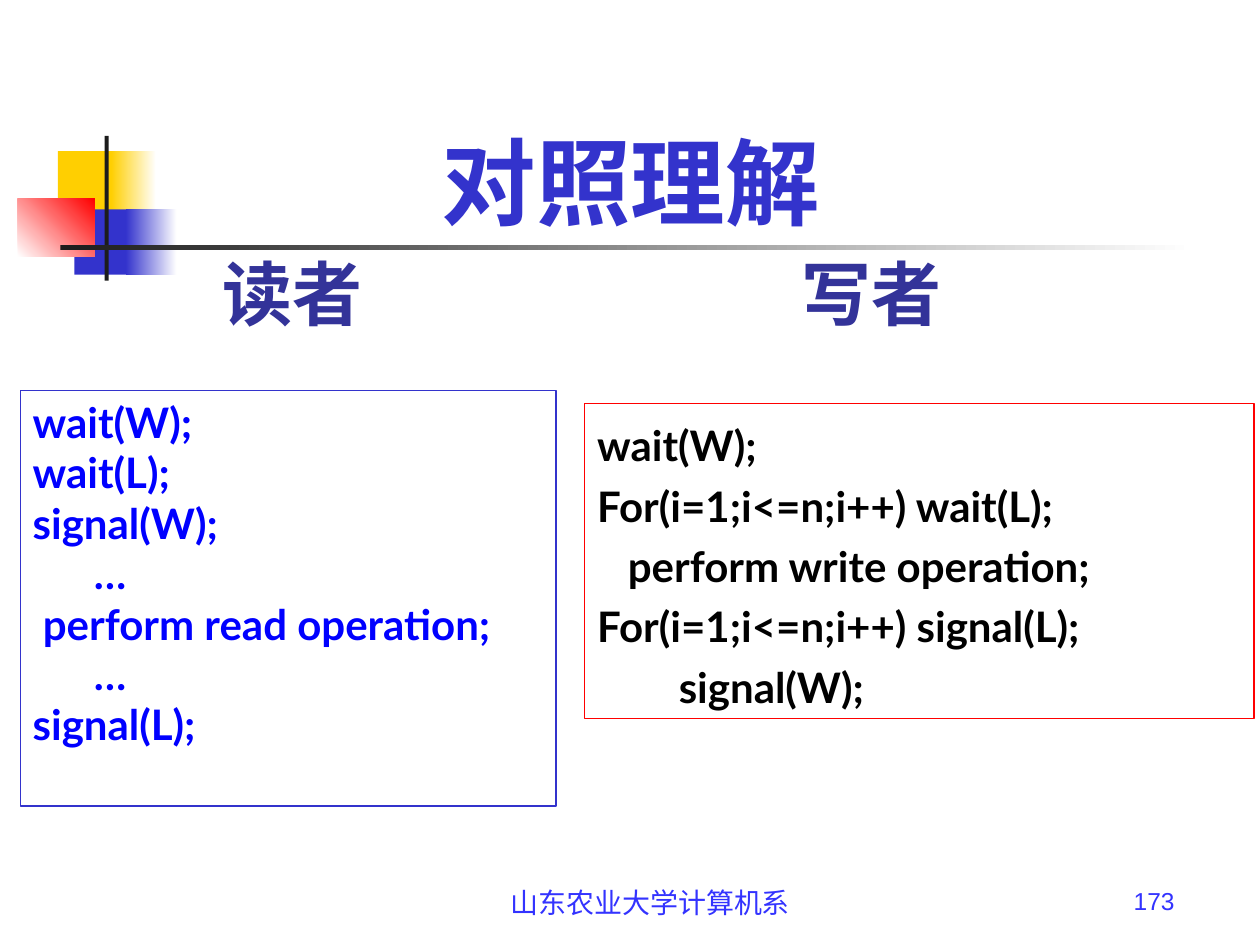
"""Build the slide comparing reader and writer code."""
from pptx import Presentation
from pptx.dml.color import RGBColor
from pptx.enum.shapes import MSO_SHAPE
from pptx.enum.text import MSO_ANCHOR, MSO_AUTO_SIZE, PP_ALIGN
from pptx.util import Cm, Pt


def color(value):
    return RGBColor.from_string(value)


def write(shape, lines, size, value, font="Lato", bold=True, align=PP_ALIGN.CENTER,
          anchor=MSO_ANCHOR.TOP, spacing=1.0):
    frame = shape.text_frame
    frame.word_wrap = True
    frame.auto_size = MSO_AUTO_SIZE.NONE
    frame.vertical_anchor = anchor
    frame.text = "\n".join(lines)
    for paragraph in frame.paragraphs:
        paragraph.alignment = align
        paragraph.line_spacing = spacing
        paragraph.font.name = font
        paragraph.font.size = Pt(size)
        paragraph.font.bold = bold
        paragraph.font.color.rgb = color(value)


presentation = Presentation()
presentation.slide_width = Cm(25.4)
presentation.slide_height = Cm(19.05)
slide = presentation.slides.add_slide(presentation.slide_layouts[5])

decorations = [
    (1.17, 3.05, 1.22, 1.32, ["FFCF01"], 0),
    (2.24, 3.05, 0.91, 1.32, ["FFCF01", "FFFFFF"], 0),
    (1.5, 4.22, 1.17, 1.32, ["3333CC"], 0),
    (2.54, 4.22, 1.02, 1.32, ["3333CC", "FFFFFF"], 0),
    (0.36, 4.01, 1.55, 1.17, ["FFFFFF", "FF0000"], 45),
    (2.11, 2.74, 0.08, 2.92, ["1C1C1C"], 0),
    (1.22, 4.94, 22.86, 0.1, ["1C1C1C", "FFFFFF"], 0),
]
for left, top, width, height, colors, angle in decorations:
    shape = slide.shapes.add_shape(
        MSO_SHAPE.RECTANGLE, Cm(left), Cm(top), Cm(width), Cm(height))
    shape.shadow.inherit = False
    shape.line.fill.background()
    if len(colors) == 1:
        shape.fill.solid()
        shape.fill.fore_color.rgb = color(colors[0])
    else:
        shape.fill.gradient()
        shape.fill.gradient_angle = angle
        for stop, value in zip(shape.fill.gradient_stops, colors):
            stop.color.rgb = color(value)

title = slide.shapes.title
title.left, title.top, title.width, title.height = Cm(1.9), Cm(1.73), Cm(21.64), Cm(3.18)
write(title, ["对照理解"], 54, "3333CC", anchor=MSO_ANCHOR.BOTTOM)

reader_code = [
    "wait(W);",
    "wait(L);",
    "signal(W);",
    "      …",
    " perform read operation;",
    "      …",
    "signal(L);",
]
writer_code = [
    "wait(W);",
    "For(i=1;i<=n;i++) wait(L);",
    "   perform write operation;",
    "For(i=1;i<=n;i++) signal(L);",
    "        signal(W);",
]
code_boxes = [
    (0.41, 7.87, 10.8, 8.38, "3333CC", reader_code, "0000FF", 1.0),
    (11.79, 8.13, 13.49, 6.35, "FF0000", writer_code, "000000", 1.2),
]
for left, top, width, height, border, lines, value, spacing in code_boxes:
    shape = slide.shapes.add_shape(
        MSO_SHAPE.RECTANGLE, Cm(left), Cm(top), Cm(width), Cm(height))
    shape.shadow.inherit = False
    shape.fill.background()
    shape.line.color.rgb = color(border)
    shape.line.width = Pt(0.75)
    write(shape, lines, 24, value, align=PP_ALIGN.LEFT, spacing=spacing)

for left, heading in [(3.1, "读者"), (14.76, "写者")]:
    shape = slide.shapes.add_textbox(Cm(left), Cm(4.92), Cm(5.6), Cm(1.96))
    write(shape, [heading], 40, "333399")

footers = [
    (9.09, 8.05, "山东农业大学计算机系", 16, PP_ALIGN.CENTER),
    (17.58, 6.35, "173", 14, PP_ALIGN.RIGHT),
]
for left, width, text, size, align in footers:
    shape = slide.shapes.add_textbox(Cm(left), Cm(17.73), Cm(width), Cm(1.32))
    write(shape, [text], size, "3333FF", font="Arial", bold=False, align=align)

presentation.save("out.pptx")
